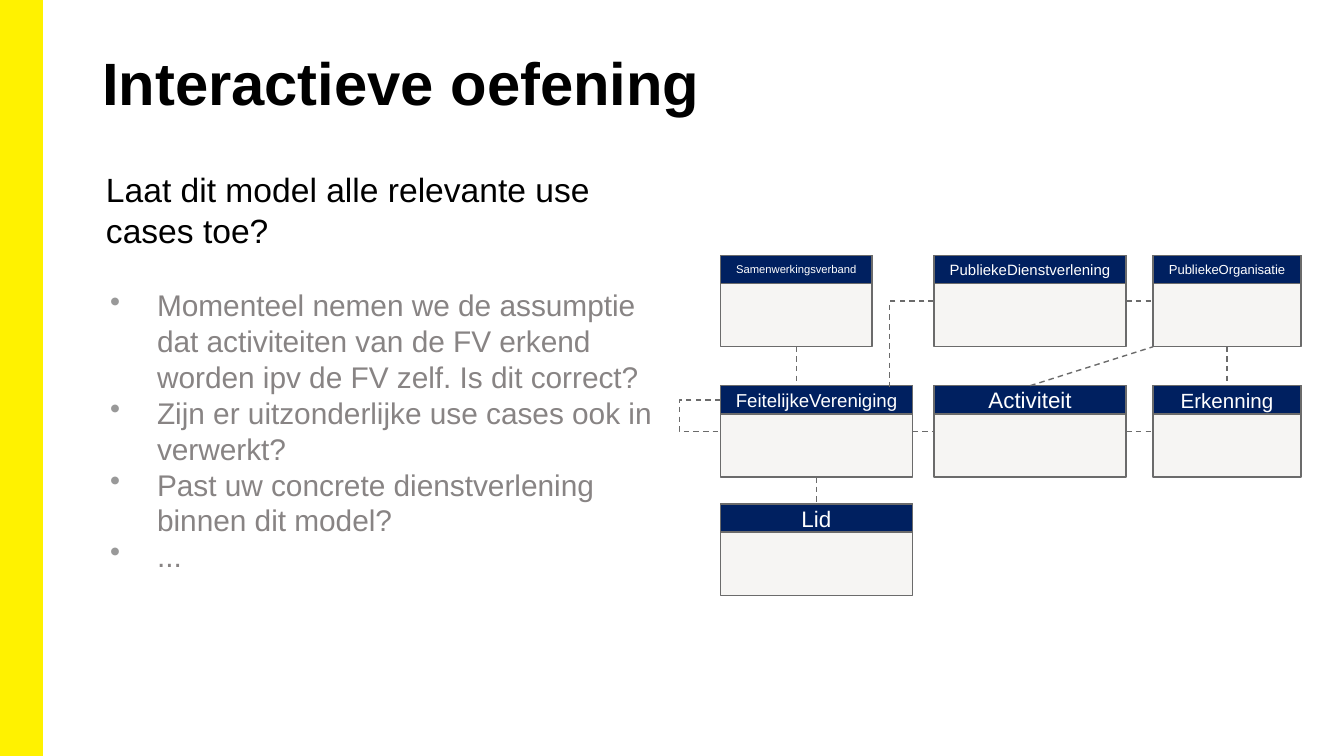
from lxml import etree
from pptx import Presentation
from pptx import util as u
from pptx.dml.color import RGBColor
from pptx.enum import dml, shapes, text
from pptx.oxml.ns import qn

COLORS = {"accent": "FFF200", "header": "002060", "body": "F6F5F3", "line": "6B6B6B",
          "title": "000000", "bullet": "999999", "answer": "888484", "white": "FFFFFF"}

presentation = Presentation()
slide_width, slide_height = 10, 10 * 9 / 16
presentation.slide_width, presentation.slide_height = u.Inches(slide_width), u.Inches(slide_height)
slide = presentation.slides.add_slide(presentation.slide_layouts[6])


def add_box(left, top, width, height, fill, line, weight):
    shape = slide.shapes.add_shape(shapes.MSO_SHAPE.RECTANGLE, *map(u.Inches, (left, top, width, height)))
    shape.shadow.inherit = False
    shape.fill.solid()
    shape.fill.fore_color.rgb = RGBColor.from_string(COLORS[fill])
    shape.line.color.rgb = RGBColor.from_string(COLORS[line])
    shape.line.width = u.Pt(weight)
    return shape


def write(paragraph, words, size, color, **formats):
    paragraph.text = words
    for name, value in {"name": "Arial", "size": u.Pt(size), **formats}.items():
        setattr(paragraph.font, name, value)
    paragraph.font.color.rgb = RGBColor.from_string(COLORS[color])


# Accent bar
add_box(0, 0, 0.31, slide_height, "accent", "accent", 1)

# Title and question frames
frames = []
for place, inset_x, inset_y in [((0.69, 0.3, 8.62, 0.81), 0.07, 0.04),
                                ((0.69, 1.21, 4.31, 3.13), 0.1, 0.05)]:
    frame = slide.shapes.add_textbox(*map(u.Inches, place)).text_frame
    formats = {"word_wrap": True, "margin_left": u.Inches(inset_x), "margin_right": u.Inches(inset_x),
               "margin_top": u.Inches(inset_y), "margin_bottom": u.Inches(inset_y)}
    for name, value in formats.items():
        setattr(frame, name, value)
    frames.append(frame)
title, question = frames
write(title.paragraphs[0], "Interactieve oefening", 32, "title", bold=True)
write(question.paragraphs[0], "Laat dit model alle relevante use cases toe?", 18, "title")

# Bulleted discussion points
points = ["Momenteel nemen we de assumptie dat activiteiten van de FV erkend worden ipv de FV zelf. Is dit correct?",
          "Zijn er uitzonderlijke use cases ook in verwerkt?",
          "Past uw concrete dienstverlening binnen dit model?",
          "..."]
for index, point in enumerate(points):
    paragraph = question.add_paragraph()
    paragraph.space_before = u.Pt(0 if index else 20)
    properties = paragraph._p.get_or_add_pPr()
    properties.set("marL", str(u.Inches(0.38)))
    properties.set("indent", str(u.Inches(-0.35)))
    bullet_color = etree.SubElement(properties, qn("a:buClr"))
    etree.SubElement(bullet_color, qn("a:srgbClr"), val=COLORS["bullet"])
    etree.SubElement(properties, qn("a:buChar"), char="•")
    write(paragraph, point, 16, "answer")

# Class boxes on a grid of three columns and three rows
columns, rows = [5.36, 6.95, 8.58], [1.9, 2.87, 3.75]
box_height, header_height = 0.68, 0.21
classes = [("FeitelijkeVereniging", 0, 1, 1.43, 10), ("PubliekeDienstverlening", 1, 0, 1.43, 8),
           ("PubliekeOrganisatie", 2, 0, 1.1, 7), ("Activiteit", 1, 1, 1.43, 12),
           ("Erkenning", 2, 1, 1.1, 11), ("Lid", 0, 2, 1.43, 12),
           ("Samenwerkingsverband", 0, 0, 1.13, 6)]
boxes = {}
for name, column, row, width, size in classes:
    left, top = columns[column], rows[row]
    boxes[name] = add_box(left, top, width, box_height, "body", "line", 0.75)
    header = add_box(left, top, width, header_height, "header", "line", 0.75)
    frame = header.text_frame
    frame.vertical_anchor = text.MSO_ANCHOR.MIDDLE
    for side in ("left", "right", "top", "bottom"):
        setattr(frame, f"margin_{side}", u.Inches(0.1))
    write(frame.paragraphs[0], name, size, "white")
    frame.paragraphs[0].alignment = text.PP_ALIGN.CENTER

# Straight relations: start box and side, end box and side, ends without a box are points
TOP, LEFT, BOTTOM, RIGHT = range(4)
STRAIGHT, ELBOW = shapes.MSO_CONNECTOR.STRAIGHT, shapes.MSO_CONNECTOR.ELBOW
relations = [("Activiteit", RIGHT, "Erkenning", LEFT),
             ("PubliekeOrganisatie", BOTTOM, "Erkenning", TOP),
             ("PubliekeDienstverlening", RIGHT, "PubliekeOrganisatie", LEFT),
             ("FeitelijkeVereniging", RIGHT, "Activiteit", LEFT),
             ("FeitelijkeVereniging", BOTTOM, "Lid", TOP),
             ("Activiteit", TOP, None, (columns[2], rows[0] + box_height)),
             ("Samenwerkingsverband", BOTTOM, None, (columns[0] + 1.13 / 2, rows[1]))]
connectors = []
for start, start_side, end, end_side in relations:
    end_point = (0, 0) if end else end_side
    connector = slide.shapes.add_connector(STRAIGHT, 0, 0, *map(u.Inches, end_point))
    connector.begin_connect(boxes[start], start_side)
    if end:
        connector.end_connect(boxes[end], end_side)
    connectors.append(connector)

# Bent relations: one turn to PubliekeDienstverlening, and a loop on FeitelijkeVereniging
middle = box_height / 2
turn = slide.shapes.add_connector(ELBOW, *map(u.Inches, (columns[1], rows[0] + middle, 6.62, 2.91)))
turn._element.spPr.find(qn("a:prstGeom")).set("prst", "bentConnector2")
loop_width, loop_reach = 0.01, 0.31
loop = slide.shapes.add_connector(ELBOW, *map(u.Inches, (
    columns[0], rows[1] + header_height / 2, columns[0] + loop_width, rows[1] + middle)))
adjustments = loop._element.spPr.find(qn("a:prstGeom")).get_or_add_avLst()
etree.SubElement(adjustments, qn("a:gd"), name="adj1", fmla=f"val {round(-loop_reach / loop_width * 100000)}")

# Dashed line style
for connector in connectors + [turn, loop]:
    connector.line.color.rgb = RGBColor.from_string(COLORS["line"])
    connector.line.width = u.Pt(0.75)
    connector.line.dash_style = dml.MSO_LINE.DASH
    etree.SubElement(connector._element.spPr, qn("a:effectLst"))

presentation.save("out.pptx")
